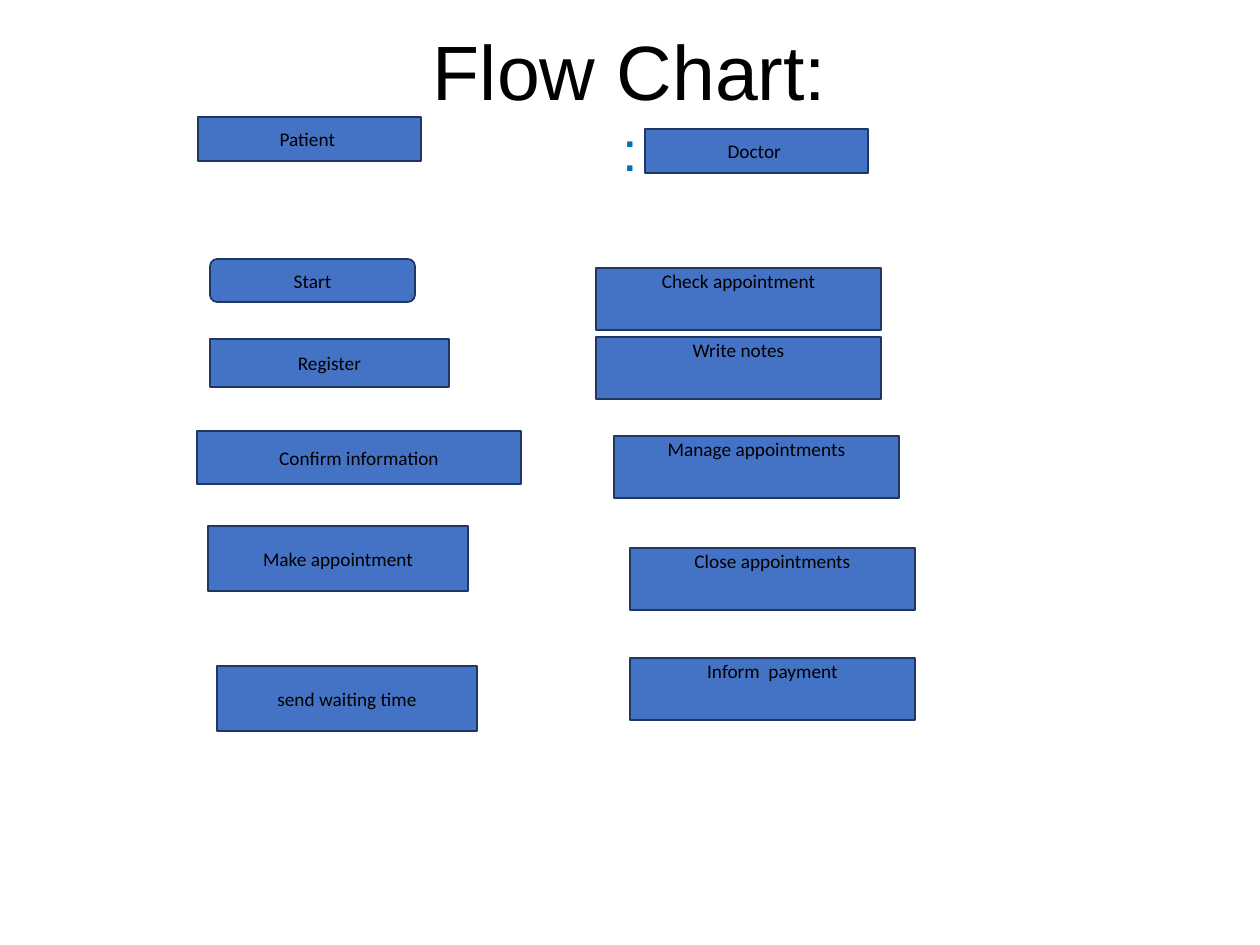
from dataclasses import dataclass

from pptx import Presentation
from pptx.dml.color import RGBColor
from pptx.enum.shapes import MSO_SHAPE
from pptx.enum.text import MSO_ANCHOR, PP_ALIGN
from pptx.slide import Slide
from pptx.text.text import Font
from pptx.util import Emu, Pt


@dataclass(frozen=True)
class Theme:
    fill: str = "4472C4"
    edge: str = "1F3763"
    ink: str = "000000"
    mark: str = "0072BC"
    head: str = "Arial"
    body: str = "Calibri"
    title: int = 44
    colon: int = 32
    label: int = 11
    line: int = 1


@dataclass(frozen=True)
class Box:
    text: str
    left: int
    top: int
    width: int
    height: int
    kind: MSO_SHAPE = MSO_SHAPE.RECTANGLE
    anchor: MSO_ANCHOR = MSO_ANCHOR.MIDDLE


THEME = Theme()
SCALE = 914400 / 126
ROLE = (223, 44)
TASK = (285, 62)
WIDE = (260, 65)

ROLES = [Box("Patient ", 198, 117, *ROLE), Box("Doctor ", 645, 129, *ROLE)]
PATIENT = [
    Box("Start", 210, 259, 205, 43, MSO_SHAPE.ROUNDED_RECTANGLE),
    Box("Register", 210, 339, 239, 48),
    Box("Confirm information", 197, 431, 324, 53),
    Box("Make appointment", 208, 526, *WIDE),
    Box("send waiting time", 217, 666, *WIDE),
]
DOCTOR = [
    Box(text, left, top, *TASK, anchor=MSO_ANCHOR.TOP)
    for text, left, top in (
        ("Check appointment", 596, 268),
        ("Write notes", 596, 337),
        ("Manage appointments", 614, 436),
        ("Close appointments", 630, 548),
        ("Inform  payment", 630, 658),
    )
]


def px(count: int) -> Emu:
    return Emu(round(count * SCALE))


def style(font: Font, name: str, size: int, color: str) -> None:
    font.name = name
    font.size = Pt(size)
    font.color.rgb = RGBColor.from_string(color)


def draw_title(slide: Slide) -> None:
    frame = slide.shapes.add_textbox(px(63), px(59), px(1134), px(88)).text_frame
    frame.word_wrap = True
    frame.vertical_anchor = MSO_ANCHOR.MIDDLE
    para = frame.paragraphs[0]
    para.text = "Flow Chart:\v:"
    para.alignment = PP_ALIGN.CENTER
    first, last = para.runs
    style(first.font, THEME.head, THEME.title, THEME.ink)
    style(last.font, THEME.head, THEME.colon, THEME.mark)


def draw_box(slide: Slide, box: Box) -> None:
    shape = slide.shapes.add_shape(
        box.kind, px(box.left), px(box.top), px(box.width), px(box.height)
    )
    shape.shadow.inherit = False
    shape.fill.solid()
    shape.fill.fore_color.rgb = RGBColor.from_string(THEME.fill)
    shape.line.color.rgb = RGBColor.from_string(THEME.edge)
    shape.line.width = Pt(THEME.line)
    frame = shape.text_frame
    frame.word_wrap = True
    frame.vertical_anchor = box.anchor
    if box.anchor == MSO_ANCHOR.TOP:
        frame.margin_top = px(1)
    para = frame.paragraphs[0]
    para.text = box.text
    para.alignment = PP_ALIGN.CENTER
    style(para.runs[0].font, THEME.body, THEME.label, THEME.ink)


def main() -> None:
    deck = Presentation()
    deck.slide_width, deck.slide_height = px(1260), px(945)
    slide = deck.slides.add_slide(deck.slide_layouts[6])
    draw_title(slide)
    for box in ROLES + PATIENT + DOCTOR:
        draw_box(slide, box)
    deck.save("out.pptx")


if __name__ == "__main__":
    main()
